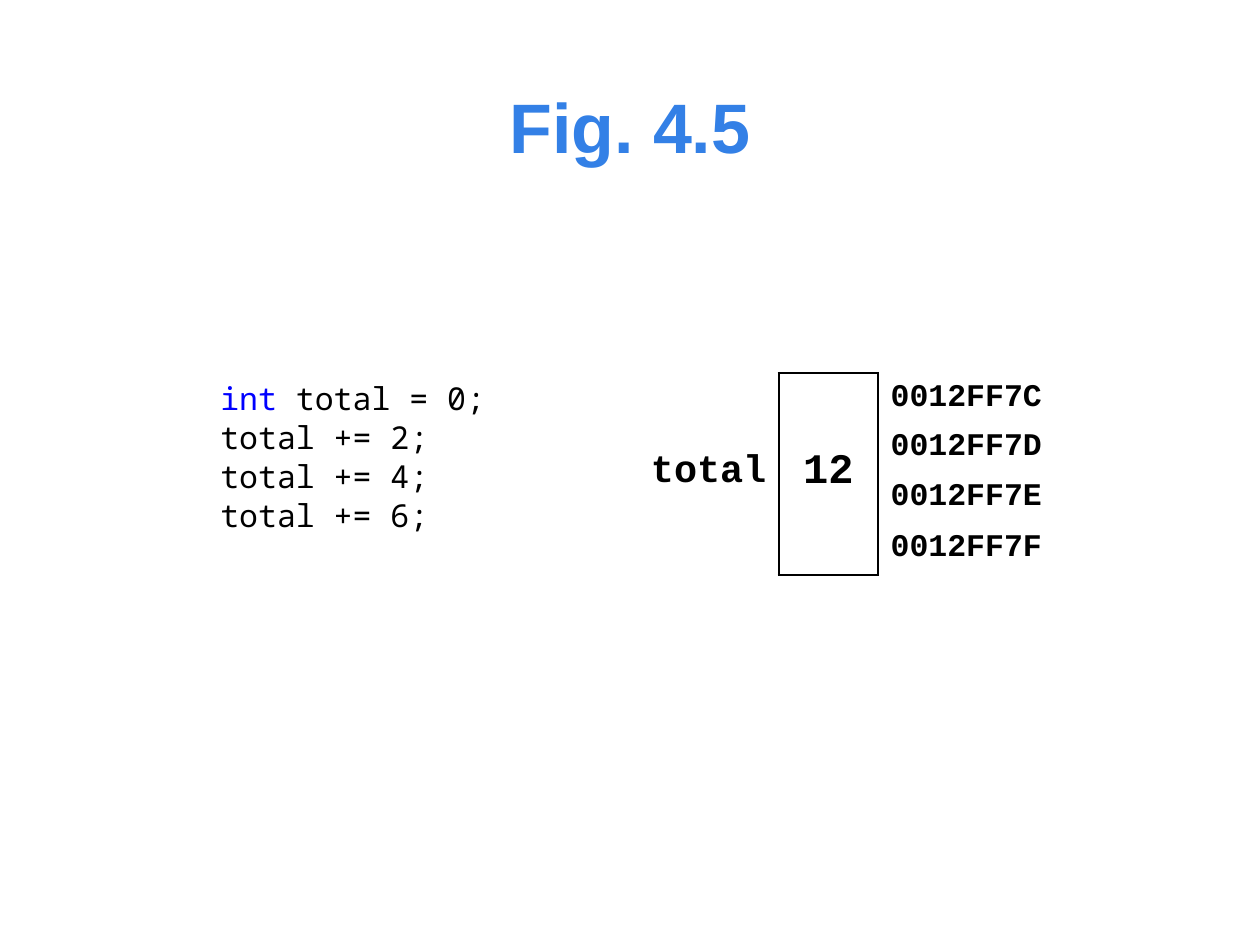
from lxml import etree
from pptx import Presentation
from pptx.dml.color import RGBColor
from pptx.enum.text import MSO_ANCHOR, PP_ALIGN
from pptx.oxml.ns import qn
from pptx.util import Inches, Pt

LEFT, CENTER, RIGHT = PP_ALIGN.LEFT, PP_ALIGN.CENTER, PP_ALIGN.RIGHT
MIDDLE, TOP = MSO_ANCHOR.MIDDLE, MSO_ANCHOR.TOP
BLACK = RGBColor(0, 0, 0)
TITLE_BLUE = RGBColor(0x33, 0x80, 0xE6)
KEYWORD_BLUE = RGBColor(0, 0, 0xFF)

WIDTH, HEIGHT = 10, 7.5
UNIT = 0.39375  # grid step in inches: one memory byte is one row high
CONTENT_TOP = 2.96
NO_GRID_STYLE = "{2D5ABB26-0587-4C30-8999-92F81FD0307C}"

CODE = [
    [("int", KEYWORD_BLUE), (" total = 0;", BLACK)],
    [("total += 2;", BLACK)],
    [("total += 4;", BLACK)],
    [("total += 6;", BLACK)],
]
ADDRESSES = ["0012FF7C", "0012FF7D", "0012FF7E", "0012FF7F"]


def write(para, text, *, size, font, color=BLACK, bold=False, align=LEFT):
    para.alignment = align
    span = para.add_run()
    span.text = text
    span.font.size = Pt(size)
    span.font.name = font
    span.font.bold = bold
    span.font.color.rgb = color


def add_box(page, left, top, width, height, anchor=TOP):
    box = page.shapes.add_textbox(*map(Inches, (left, top, width, height)))
    frame = box.text_frame
    frame.word_wrap = True
    frame.vertical_anchor = anchor
    return frame


def add_code(page):
    frame = add_box(page, 1.65, CONTENT_TOP, 6.5 * UNIT, 4.5 * UNIT)
    for index, line in enumerate(CODE):
        para = frame.paragraphs[0]
        if index:
            para = frame.add_paragraph()
            para.space_before = Pt(0.6)
        for text, color in line:
            write(para, text, size=18, font="Noto Sans Mono", color=color)


def set_borders(cell, sides):
    """Draw black lines on the given sides, named in the order L, R, T, B."""
    properties = cell._tc.get_or_add_tcPr()
    for position, side in enumerate(sides):
        line = etree.Element(qn("a:ln" + side), w=str(Pt(1.5)))
        fill = etree.SubElement(line, qn("a:solidFill"))
        etree.SubElement(fill, qn("a:srgbClr"), val=str(BLACK))
        properties.insert(position, line)


def fill_cell(cell, text, size, align, top, bottom):
    cell.vertical_anchor = MIDDLE
    cell.margin_top, cell.margin_bottom = Inches(top), Inches(bottom)
    write(cell.text_frame.paragraphs[0], text, size=size,
          font="Courier New", bold=True, align=align)


def add_memory_table(page):
    """Variable name, its value and the addresses of its bytes."""
    count = len(ADDRESSES)
    spans = (3, 2, 4)
    shape = page.shapes.add_table(
        count, len(spans), Inches(WIDTH / 2), Inches(CONTENT_TOP),
        Inches(sum(spans) * UNIT), Inches(count * UNIT))
    table = shape.table
    table._tbl.tblPr.find(qn("a:tableStyleId")).text = NO_GRID_STYLE
    table.first_row = table.horz_banding = False
    for column, span in zip(table.columns, spans):
        column.width = Inches(span * UNIT)
    for cell in table.iter_cells():
        cell.fill.background()

    for column, (text, size, align) in enumerate(
            [("total", 22, RIGHT), ("12", 24, CENTER)]):
        table.cell(0, column).merge(table.cell(count - 1, column))
        fill_cell(table.cell(0, column), text, size, align, 0, 0.02)
    for row, address in enumerate(ADDRESSES):
        set_borders(table.cell(row, 0), "R")
        set_borders(table.cell(row, 1), "LRTB")
        fill_cell(table.cell(row, 2), address, 18, LEFT, 0.04, 0.04)


def main():
    deck = Presentation()
    deck.slide_width, deck.slide_height = Inches(WIDTH), Inches(HEIGHT)
    page = deck.slides.add_slide(deck.slide_layouts[6])

    title_width = 9 * UNIT
    title = add_box(page, (WIDTH - title_width) / 2, 0.08 * HEIGHT,
                    title_width, 2 * UNIT, MIDDLE)
    write(title.paragraphs[0], "Fig. 4.5", size=40, font="Arial",
          color=TITLE_BLUE, bold=True, align=CENTER)
    add_code(page)
    add_memory_table(page)
    deck.save("out.pptx")


if __name__ == "__main__":
    main()
